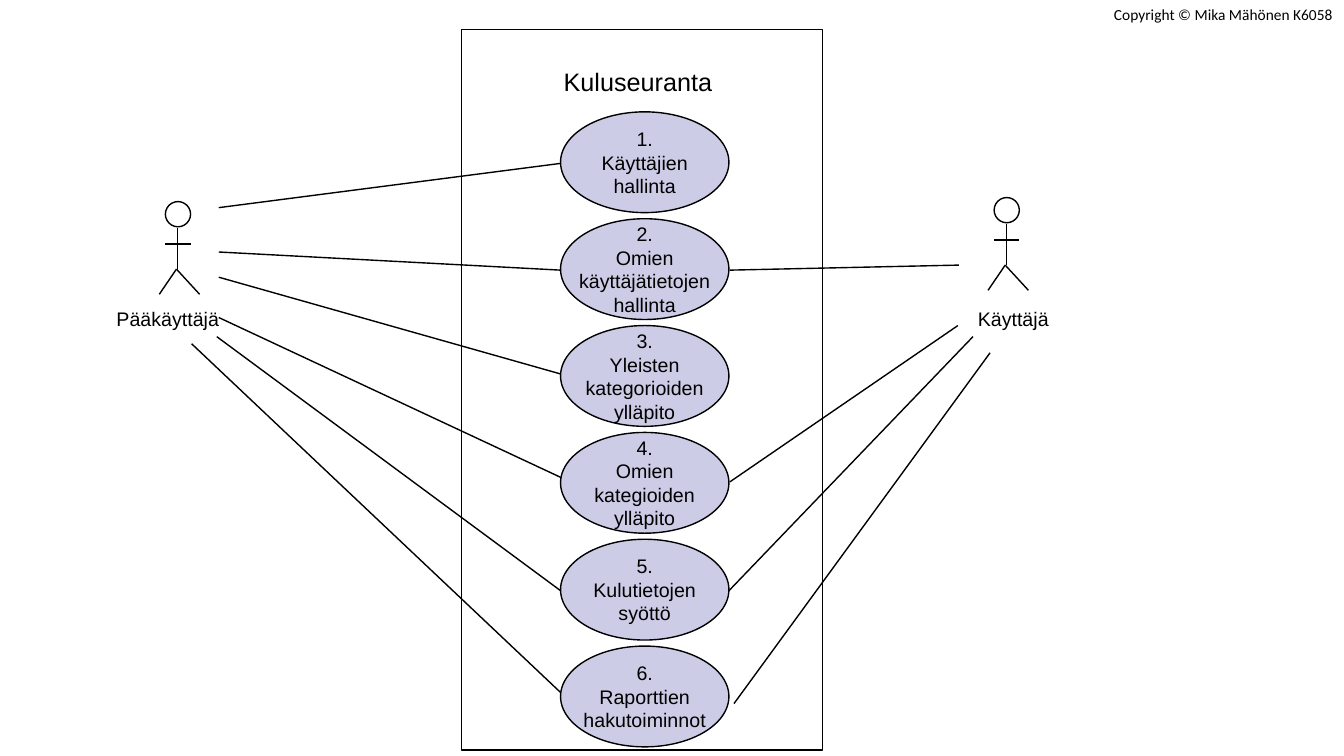
"""Builds the use case diagram slide for expense tracking."""
from dataclasses import dataclass

import pptx
import pptx.dml.color
import pptx.enum.shapes
import pptx.enum.text
import pptx.oxml
import pptx.oxml.ns
import pptx.util

Inches = pptx.util.Inches
Pt = pptx.util.Pt
SHAPE = pptx.enum.shapes.MSO_SHAPE
ALIGN = pptx.enum.text.PP_ALIGN
ANCHOR = pptx.enum.text.MSO_ANCHOR

COLORS = {"ink": "000000", "use_case": "CCCCE6"}
CASE_LEFT, CASE_TOP, CASE_STEP = 5.56, 1.11, 1.06
CASE_WIDTH, CASE_HEIGHT = 1.67, 1.0


@dataclass
class Actor:
    """A stick figure: head position, and its name with the name's box."""
    name: str
    left: float
    top: float
    label_left: float
    label_width: float


@dataclass
class Link:
    """An association line between an actor and a use case."""
    x1: float
    y1: float
    x2: float
    y2: float


USE_CASES = [
    ["Käyttäjien", "hallinta"],
    ["Omien", "käyttäjätietojen", "hallinta"],
    ["Yleisten", "kategorioiden", "ylläpito"],
    ["Omien", "kategioiden", "ylläpito"],
    ["Kulutietojen", "syöttö"],
    ["Raporttien", "hakutoiminnot"],
]
ACTORS = [
    Actor("Pääkäyttäjä", 1.64, 2.0, 1.0, 1.33),
    Actor("Käyttäjä", 9.86, 1.96, 9.51, 1.08),
]
LINKS = [
    Link(2.17, 2.06, 5.57, 1.62),
    Link(2.17, 2.5, 5.56, 2.68),
    Link(2.17, 2.75, 5.56, 3.71),
    Link(2.17, 3.15, 5.57, 4.74),
    Link(2.15, 3.34, 5.56, 5.86),
    Link(1.9, 3.41, 5.56, 6.87),
    Link(7.24, 2.68, 9.51, 2.63),
    Link(7.24, 4.78, 9.5, 3.23),
    Link(7.23, 5.86, 9.65, 3.34),
    Link(7.28, 6.98, 9.82, 3.5),
]
# Body, right leg, left leg and arms, measured from the head's top left corner
LIMBS = [
    Link(0.12, 0.26, 0.12, 0.67),
    Link(0.11, 0.67, 0.34, 0.92),
    Link(0.11, 0.67, -0.06, 0.92),
    Link(0, 0.42, 0.25, 0.42),
]


def rgb(name: str) -> pptx.dml.color.RGBColor:
    """Look up a colour by its role."""
    return pptx.dml.color.RGBColor.from_string(COLORS[name])


def write(sp, text: str, size: float = 14, font: str = "Arial",
          align=ALIGN.CENTER, anchor=ANCHOR.TOP, wrap: bool = True) -> None:
    """Write formatted text into a shape, one paragraph per line."""
    tf = sp.text_frame
    tf.text = text
    tf.word_wrap = wrap
    tf.vertical_anchor = anchor
    for p in tf.paragraphs:
        p.alignment = align
        for r in p.runs:
            r.font.size, r.font.name = Pt(size), font
            r.font.color.rgb = rgb("ink")


def add_outline(shapes, kind, left: float, top: float, width: float,
                height: float, fill: str = ""):
    """Add a preset shape with a thin outline and an optional fill."""
    sp = shapes.add_shape(kind, Inches(left), Inches(top),
                          Inches(width), Inches(height))
    sp.shadow.inherit = False
    sp.line.color.rgb, sp.line.width = rgb("ink"), Pt(1)
    if fill:
        sp.fill.solid()
        sp.fill.fore_color.rgb = rgb(fill)
    else:
        sp.fill.background()
    return sp


def add_line(shapes, link: Link, dx: float = 0, dy: float = 0) -> None:
    """Add a straight line, shifted by dx and dy."""
    c = shapes.add_connector(
        pptx.enum.shapes.MSO_CONNECTOR.STRAIGHT,
        Inches(link.x1 + dx), Inches(link.y1 + dy),
        Inches(link.x2 + dx), Inches(link.y2 + dy))
    c.line.color.rgb, c.line.width = rgb("ink"), Pt(1)
    c._element.spPr.append(pptx.oxml.parse_xml(
        f"<a:effectLst {pptx.oxml.ns.nsdecls('a')}/>"))


def add_label(shapes, text: str, left: float, top: float, width: float,
              height: float, **fmt) -> None:
    """Add a text box."""
    sp = shapes.add_textbox(Inches(left), Inches(top),
                            Inches(width), Inches(height))
    write(sp, text, **fmt)


def add_actor(shapes, actor: Actor) -> None:
    """Add a grouped stick figure with its name below."""
    figure = shapes.add_group_shape().shapes
    add_outline(figure, SHAPE.OVAL, actor.left, actor.top, 0.25, 0.25)
    for limb in LIMBS:
        add_line(figure, limb, actor.left, actor.top)
    add_label(shapes, actor.name, actor.label_left, 3, actor.label_width, 0.34)


def add_title(s, text: str) -> None:
    """Place the slide title at the head of the system boundary."""
    sp = s.shapes.title
    sp.left, sp.top = Inches(5.49), Inches(0.61)
    sp.width, sp.height = Inches(1.83), Inches(0.4)
    write(sp, text, size=18, align=ALIGN.LEFT, anchor=ANCHOR.MIDDLE)


def main() -> None:
    """Build and save the slide."""
    prs = pptx.Presentation()
    prs.slide_width, prs.slide_height = Inches(13.33), Inches(7.5)
    s = prs.slides.add_slide(prs.slide_layouts.get_by_name("Title Only"))
    add_title(s, "Kuluseuranta")
    add_outline(s.shapes, SHAPE.RECTANGLE, 4.58, 0.29, 3.58, 7.15)
    for link in LINKS:
        add_line(s.shapes, link)
    for i, lines in enumerate(USE_CASES):
        sp = add_outline(s.shapes, SHAPE.OVAL, CASE_LEFT,
                         CASE_TOP + i * CASE_STEP, CASE_WIDTH, CASE_HEIGHT,
                         fill="use_case")
        write(sp, "\n".join([f"{i + 1}.", *lines]),
              anchor=ANCHOR.MIDDLE, wrap=False)
    for actor in ACTORS:
        add_actor(s.shapes, actor)
    add_label(s.shapes, "Copyright © Mika Mähönen K6058", 10.95, 0, 2.39, 0.29,
              size=11, font="Calibri", align=ALIGN.LEFT, wrap=False)
    prs.save("out.pptx")


main()
